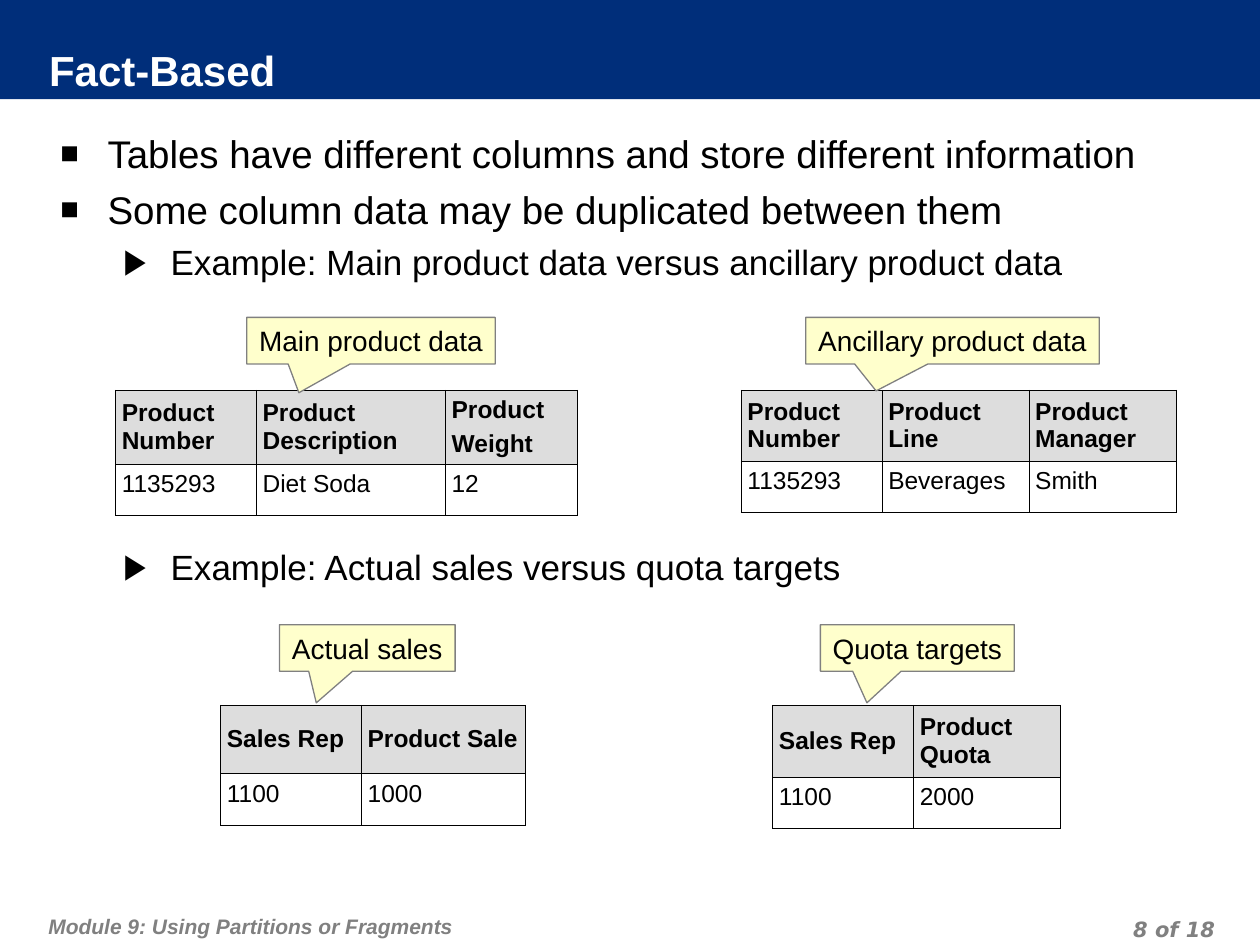
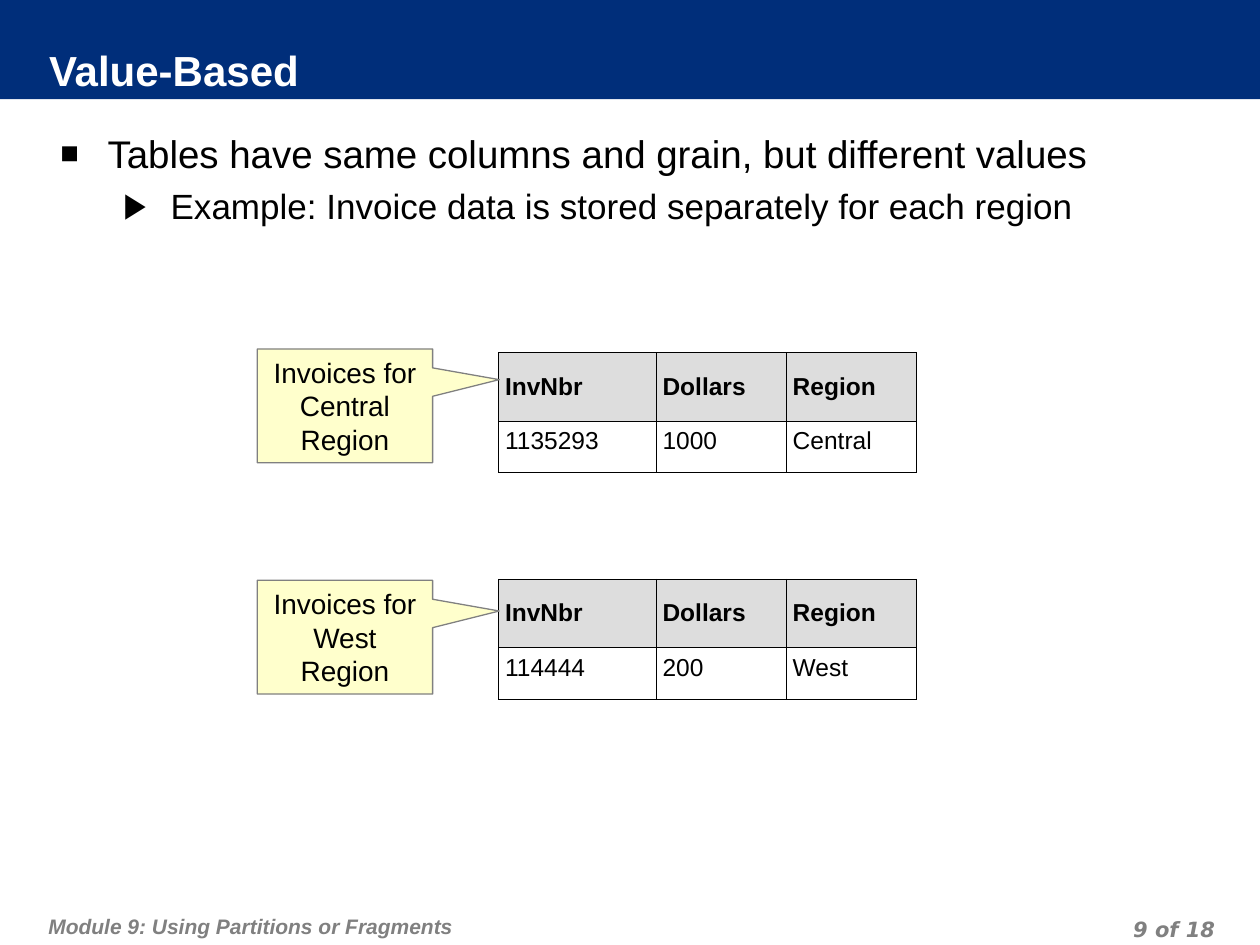
from lxml import etree
from pptx import Presentation
from pptx import util as u
from pptx.dml.color import RGBColor
from pptx.enum import shapes, text
from pptx.oxml.ns import qn

COLORS = {"band": "002E7A", "white": "FFFFFF", "black": "000000",
          "footer": "808080", "header": "DDDDDD", "callout": "FFFFCC"}
FOOTER = "Module 9: Using Partitions or Fragments"
PAGE_COUNT = 18
BODY_ROW = 29.5

# Bullet levels: symbol, symbol size in percent, text size, left indent, space before
LEVELS = [("■", 80, 22, 27, 5.5), ("▶", 100, 20, 63, 5)]
HANGING = 27

# Bullets: level, words, space before if it differs from the level's
# Tables: left, top, header height, column widths, header cells, body cells
# Callouts: left, top, width, height, pointer adjustments, wrap, words
INVOICE_HEADER = ["InvNbr", "Dollars", "Region"]
INVOICE_WIDTHS = [90, 74.4, 74.4]
SLIDES = [
    {"title": "Fact-Based", "page": 8,
     "bullets": [
         (0, "Tables have different columns and store different information", None),
         (0, "Some column data may be duplicated between them", None),
         (1, "Example: Main product data versus ancillary product data", None),
         (1, "Example: Actual sales versus quota targets", 150)],
     "tables": [
         (66, 223, 42, [80.5, 108, 75.5],
          ["Product Number", "Product Description", "Product\nWeight"],
          ["1135293", "Diet Soda", "12"]),
         (423.5, 223, 40.5, [80.5, 84, 84],
          ["Product Number", "Product Line", "Product Manager"],
          ["1135293", "Beverages", "Smith"]),
         (126, 403, 39, [80.5, 94], ["Sales Rep", "Product Sale"], ["1100", "1000"]),
         (441.5, 403, 41, [80.5, 84], ["Sales Rep", "Product Quota"], ["1100", "2000"])],
     "callouts": [
         (141, 181.4, 142, 26.6, (-0.29, 1.12), False, "Main product data"),
         (460.4, 181.4, 167.8, 26.6, (-0.26, 1.08), False, "Ancillary product data"),
         (159.7, 357, 100.4, 26.6, (-0.29, 1.18), False, "Actual sales"),
         (468.8, 357, 110.8, 26.6, (-0.26, 1.18), False, "Quota targets")]},
    {"title": "Value-Based", "page": 9,
     "bullets": [
         (0, "Tables have same columns and grain, but different values", None),
         (1, "Example: Invoice data is stored separately for each region", None)],
     "tables": [
         (285, 201.6, 39, INVOICE_WIDTHS, INVOICE_HEADER, ["1135293", "1000", "Central"]),
         (285, 331, 39, INVOICE_WIDTHS, INVOICE_HEADER, ["114444", "200", "West"])],
     "callouts": [
         (147, 199.4, 100.2, 65, (0.88, -0.23), True, "Invoices for Central Region"),
         (147, 331.6, 100.2, 65, (0.88, -0.23), True, "Invoices for West Region")]},
]


def add_run(paragraph, words, size, color, bold=False, italic=False, name="Arial"):
    run = paragraph.add_run()
    run.text = words
    font = run.font
    font.name, font.size, font.bold, font.italic = name, u.Pt(size), bold, italic
    font.color.rgb = RGBColor.from_string(COLORS[color])


def set_frame(frame, left, top, right, bottom, wrap=True):
    frame.margin_left, frame.margin_top = u.Pt(left), u.Pt(top)
    frame.margin_right, frame.margin_bottom = u.Pt(right), u.Pt(bottom)
    frame.auto_size = text.MSO_AUTO_SIZE.NONE
    frame.word_wrap = wrap
    return frame


presentation = Presentation()
presentation.slide_width, presentation.slide_height = u.Pt(720), u.Pt(540)
title_only = presentation.slide_layouts[5]

for content in SLIDES:
    slide = presentation.slides.add_slide(title_only)

    # Title on the blue band
    title = slide.shapes.title
    title.left, title.top, title.width, title.height = map(u.Pt, (28, 27.4, 567, 28.8))
    title.fill.solid()
    title.fill.fore_color.rgb = RGBColor.from_string(COLORS["band"])
    frame = set_frame(title.text_frame, 0, 0, 3.6, 3.6)
    frame.vertical_anchor = text.MSO_ANCHOR.MIDDLE
    frame.paragraphs[0].alignment = text.PP_ALIGN.LEFT
    add_run(frame.paragraphs[0], content["title"], 24, "white", bold=True)

    band = slide.shapes.add_shape(shapes.MSO_SHAPE.RECTANGLE, 0, 0, u.Pt(720), u.Pt(56.6))
    band.shadow.inherit = False
    band.fill.solid()
    band.fill.fore_color.rgb = RGBColor.from_string(COLORS["band"])
    band.line.fill.background()
    title.element.addprevious(band.element)

    # Footer and page number
    page = f"{content['page']} of {PAGE_COUNT}"
    for words, box, margin_top, margin_bottom, alignment, name in (
            (FOOTER, (24, 511, 445, 29), 7.2, 3.6, text.PP_ALIGN.LEFT, "Arial"),
            (page, (530, 520, 168, 18), 0, 0, text.PP_ALIGN.RIGHT, "DejaVu Sans")):
        shape = slide.shapes.add_textbox(*map(u.Pt, box))
        frame = set_frame(shape.text_frame, 3.6, margin_top, 3.6, margin_bottom)
        paragraph = frame.paragraphs[0]
        paragraph.alignment, paragraph.line_spacing = alignment, u.Pt(18)
        add_run(paragraph, words, 12, "footer", bold=True, italic=True, name=name)

    # Bulleted text
    body = slide.shapes.add_textbox(*map(u.Pt, (27.4, 67, 669.6, 445)))
    frame = set_frame(body.text_frame, 7.2, 7.2, 7.2, 3.6)
    for index, (level, words, gap) in enumerate(content["bullets"]):
        symbol, percent, size, indent, space = LEVELS[level]
        paragraph = frame.add_paragraph() if index else frame.paragraphs[0]
        paragraph.level = level
        if index:
            paragraph.space_before = u.Pt(gap or space)
        properties = paragraph._p.get_or_add_pPr()
        properties.set("marL", str(u.Pt(indent)))
        properties.set("indent", str(u.Pt(-HANGING)))
        color = etree.SubElement(properties, qn("a:buClr"))
        etree.SubElement(color, qn("a:srgbClr"), val=COLORS["black"])
        etree.SubElement(properties, qn("a:buSzPct"), val=str(percent * 1000))
        etree.SubElement(properties, qn("a:buFont"), typeface="Arial")
        etree.SubElement(properties, qn("a:buChar"), char=symbol)
        add_run(paragraph, words, size, "black")

    # Sample tables
    for left, top, header_height, widths, header, values in content["tables"]:
        graphic = slide.shapes.add_table(2, len(widths), u.Pt(left), u.Pt(top),
                                         u.Pt(sum(widths)), u.Pt(header_height + BODY_ROW))
        table = graphic.table
        table.first_row = table.horz_banding = False
        for column, width in zip(table.columns, widths):
            column.width = u.Pt(width)
        table.rows[0].height, table.rows[1].height = u.Pt(header_height), u.Pt(BODY_ROW)
        for row, row_words in enumerate((header, values)):
            for column, words in enumerate(row_words):
                cell = table.cell(row, column)
                cell.margin_left = cell.margin_top = cell.margin_bottom = u.Pt(3.6)
                cell.margin_right = u.Pt(1.4)
                cell.vertical_anchor = text.MSO_ANCHOR.TOP if row else text.MSO_ANCHOR.MIDDLE
                for side in ("a:lnL", "a:lnR", "a:lnT", "a:lnB"):
                    border = etree.SubElement(cell._tc.get_or_add_tcPr(), qn(side),
                                              w=str(u.Pt(0.45)))
                    fill = etree.SubElement(border, qn("a:solidFill"))
                    etree.SubElement(fill, qn("a:srgbClr"), val=COLORS["black"])
                cell.fill.solid()
                cell.fill.fore_color.rgb = RGBColor.from_string(
                    COLORS["white" if row else "header"])
                for index, line in enumerate(words.split("\n")):
                    frame = cell.text_frame
                    paragraph = frame.add_paragraph() if index else frame.paragraphs[0]
                    if index:
                        paragraph.space_before = u.Pt(3.5)
                    add_run(paragraph, line, 14, "black", bold=row == 0)

    # Callouts naming the tables
    for left, top, width, height, pointer, wrap, words in content["callouts"]:
        callout = slide.shapes.add_shape(shapes.MSO_SHAPE.RECTANGULAR_CALLOUT,
                                         *map(u.Pt, (left, top, width, height)))
        callout.shadow.inherit = False
        callout.adjustments[0], callout.adjustments[1] = pointer
        callout.fill.solid()
        callout.fill.fore_color.rgb = RGBColor.from_string(COLORS["callout"])
        callout.line.color.rgb = RGBColor.from_string(COLORS["footer"])
        callout.line.width = u.Pt(0.75)
        frame = set_frame(callout.text_frame, 7.2, 3.6, 7.2, 3.6, wrap)
        frame.vertical_anchor = text.MSO_ANCHOR.MIDDLE
        frame.paragraphs[0].alignment = text.PP_ALIGN.CENTER
        add_run(frame.paragraphs[0], words, 16, "black")

presentation.save("out.pptx")
